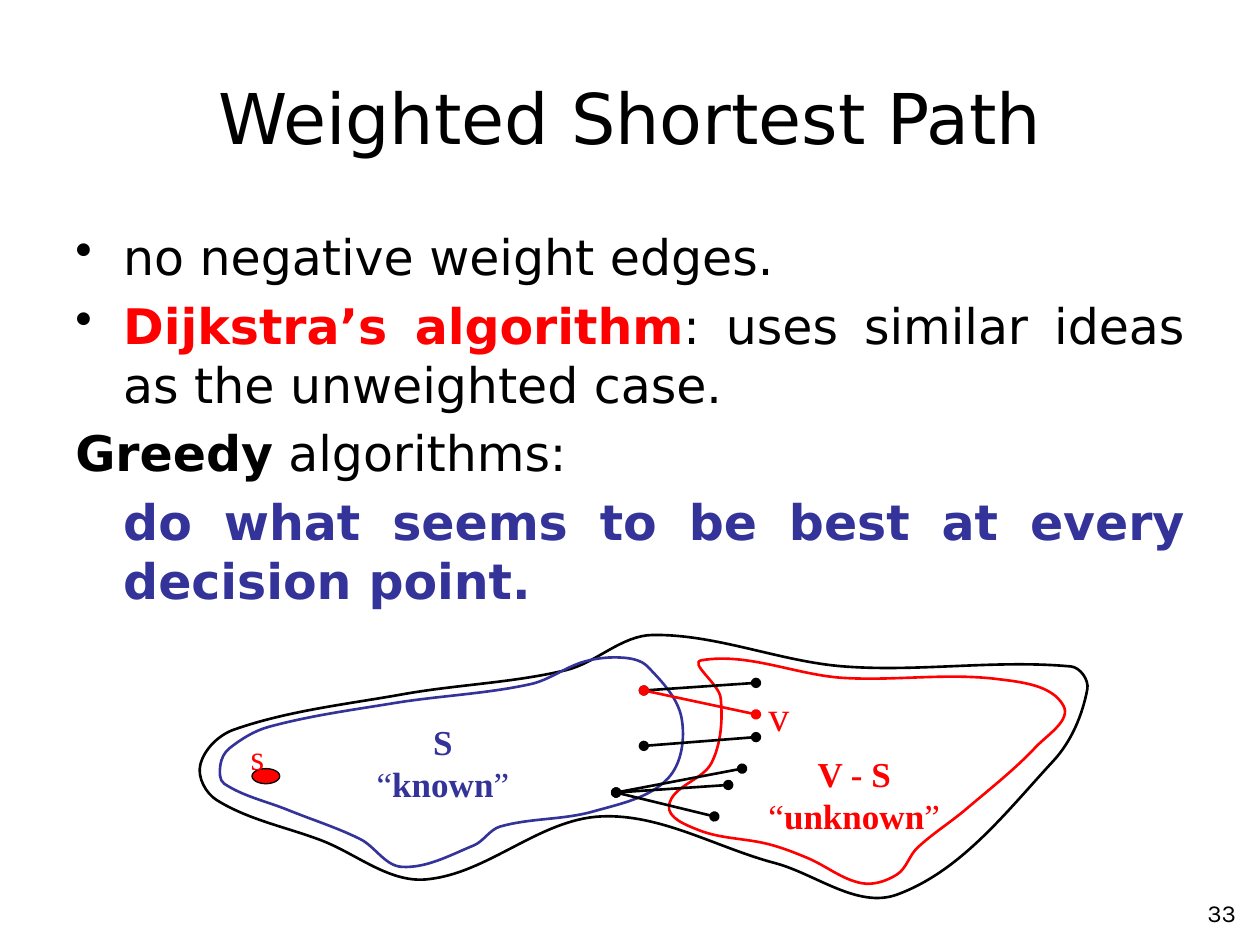
"""Build the slide on Dijkstra's algorithm with its known and unknown vertex sets."""
import math

from lxml import etree
from pptx import Presentation
from pptx.dml.color import RGBColor
from pptx.enum import shapes, text
from pptx.oxml import ns
from pptx.util import Inches, Pt

BLACK, RED, BLUE = "000000", "FF0000", "333399"
SANS, SERIF = "DejaVu Sans", "Times New Roman"
LEFT, CENTER = text.PP_ALIGN.LEFT, text.PP_ALIGN.CENTER
RIGHT, JUSTIFY = text.PP_ALIGN.RIGHT, text.PP_ALIGN.JUSTIFY


def color(value):
    return RGBColor.from_string(value)


def add_text(box, paragraphs, size, font, align, wrap=True):
    frame = slide.shapes.add_textbox(*map(Inches, box)).text_frame
    frame.word_wrap = wrap
    for index, runs in enumerate(paragraphs):
        paragraph = frame.paragraphs[0] if index == 0 else frame.add_paragraph()
        paragraph.alignment = align
        for words, ink, bold in runs:
            run = paragraph.add_run()
            run.text = words
            run.font.size = Pt(size)
            run.font.name = font
            run.font.bold = bold
            run.font.color.rgb = color(ink)
    return frame


presentation = Presentation()
presentation.slide_width, presentation.slide_height = Inches(10), Inches(7.5)
slide = presentation.slides.add_slide(presentation.slide_layouts[6])

add_text((7.83, 7.08, 2.08, 0.37), [[("33", BLACK, False)]], 14, "Karla", RIGHT)
title = add_text((0.5, 0.3, 9, 1.25), [[("Weighted Shortest Path", BLACK, False)]], 40, SANS, CENTER)
title.vertical_anchor = text.MSO_ANCHOR.MIDDLE

body = add_text((0.5, 1.75, 9, 4.95), [
    [("no negative weight edges.", BLACK, False)],
    [("Dijkstra’s algorithm", RED, True),
     (": uses similar ideas as the unweighted case.", BLACK, False)],
    [("Greedy", BLACK, True), (" algorithms:", BLACK, False)],
    [("do what seems to be best at every decision point.", BLUE, True)],
], 28, SANS, JUSTIFY)
first_line_indents = (-0.38, -0.38, -0.38, 0)
bullets = ("•", "•", None, None)
for paragraph, indent, bullet in zip(body.paragraphs, first_line_indents, bullets):
    paragraph.space_before = Pt(5.6)
    properties = paragraph._p.get_or_add_pPr()
    properties.set("marL", str(Inches(0.38)))
    properties.set("indent", str(Inches(indent)))
    if bullet:
        bullet_color = etree.SubElement(properties, ns.qn("a:buClr"))
        etree.SubElement(bullet_color, ns.qn("a:srgbClr")).set("val", BLACK)
        etree.SubElement(properties, ns.qn("a:buChar")).set("char", bullet)
    else:
        etree.SubElement(properties, ns.qn("a:buNone"))

whole_graph = [
    (4.49, 5.32), (3.2, 5.51), (1.86, 5.79), (1.59, 6.07), (1.72, 6.35),
    (2.55, 6.67), (3.38, 6.98), (4.77, 6.48), (6.15, 6.85), (7.12, 7.1),
    (8.36, 6.04), (8.63, 5.47), (8.5, 5.29), (6.7, 5.29), (5.18, 5.04),
]
known_set = [
    (4.95, 5.22), (4.64, 5.25), (4.21, 5.43), (3.13, 5.58), (2.13, 5.77), (1.82, 5.94),
    (1.75, 6.07), (1.78, 6.22), (2.29, 6.43), (2.86, 6.66), (3.19, 6.88), (3.76, 6.71),
    (3.97, 6.56), (4.71, 6.44), (5.3, 6.18), (5.41, 5.7), (5.14, 5.29),
]
unknown_set = [
    (8.44, 5.6), (7.92, 5.39), (6.69, 5.38), (5.57, 5.24), (5.72, 5.54),
    (5.65, 6.05), (5.31, 6.39), (5.55, 6.59), (6.1, 6.7), (6.41, 6.81),
    (6.84, 7.01), (7.12, 6.94), (7.28, 6.73), (7.67, 6.42), (8.22, 5.93),
]
for knots, ink in ((whole_graph, BLACK), (known_set, BLUE), (unknown_set, RED)):
    following = knots[1:] + knots[:1]
    tangents = []
    for before, after in zip(knots[-1:] + knots[:-1], following):
        span = math.dist(before, after)
        tangents.append(((after[0] - before[0]) / span, (after[1] - before[1]) / span))

    curve_points = []
    for start, end, leaving, arriving in zip(knots, following, tangents, tangents[1:] + tangents[:1]):
        reach = math.dist(start, end) / 3
        curve_points += [
            (start[0] + reach * leaving[0], start[1] + reach * leaving[1]),
            (end[0] - reach * arriving[0], end[1] - reach * arriving[1]),
            end,
        ]

    builder = slide.shapes.build_freeform(*map(Inches, knots[0]))
    builder.add_line_segments([(Inches(x), Inches(y)) for x, y in curve_points], close=True)
    outline = builder.convert_to_shape()
    outline.shadow.inherit = False
    outline.fill.background()
    outline.line.color.rgb = color(ink)
    outline.line.width = Pt(1.5)

    segments = list(outline._element.iter(ns.qn("a:lnTo")))
    for curve, second, third in zip(segments[::3], segments[1::3], segments[2::3]):
        curve.tag = ns.qn("a:cubicBezTo")
        for segment in (second, third):
            curve.append(segment[0])
            segment.getparent().remove(segment)

source_vertex = slide.shapes.add_shape(shapes.MSO_SHAPE.OVAL, *map(Inches, (2, 6.1, 0.22, 0.12)))
source_vertex.shadow.inherit = False
source_vertex.fill.solid()
source_vertex.fill.fore_color.rgb = color(RED)
source_vertex.line.color.rgb = color(BLACK)
source_vertex.line.width = Pt(0.75)

for box, symbol, name, ink in (
    ((2.89, 5.67, 1.25, 0.77), "S", "known", BLUE),
    ((6, 5.92, 1.56, 0.77), "V - S", "unknown", RED),
):
    quoted_name = [("“", ink, False), (name, ink, True), ("”", ink, False)]
    add_text(box, [[(symbol, ink, True)], quoted_name], 20, SERIF, CENTER, wrap=False)

for box, vertex, size in (((1.89, 5.79, 0.31, 0.43), "s", 20), ((6, 5.42, 0.37, 0.5), "v", 24)):
    add_text(box, [[(vertex, RED, False)]], size, SERIF, LEFT, wrap=False)

edges_from_known = {
    (5.11, 5.48): [(6, 5.42, BLACK), (6, 5.67, RED)],
    (5.11, 5.92): [(6, 5.85, BLACK)],
    (4.89, 6.29): [(5.67, 6.48, BLACK), (5.78, 6.23, BLACK), (5.89, 6.1, BLACK)],
}
for known_vertex, targets in edges_from_known.items():
    for x, y, ink in targets:
        edge = slide.shapes.add_connector(
            shapes.MSO_CONNECTOR.STRAIGHT, *map(Inches, (*known_vertex, x, y)))
        edge.line.color.rgb = color(ink)
        edge.line.width = Pt(1.5)
        for tip in ("a:headEnd", "a:tailEnd"):
            etree.SubElement(edge.line._get_or_add_ln(), ns.qn(tip)).set("type", "oval")
        etree.SubElement(edge._element.spPr, ns.qn("a:effectLst"))

presentation.save("out.pptx")
